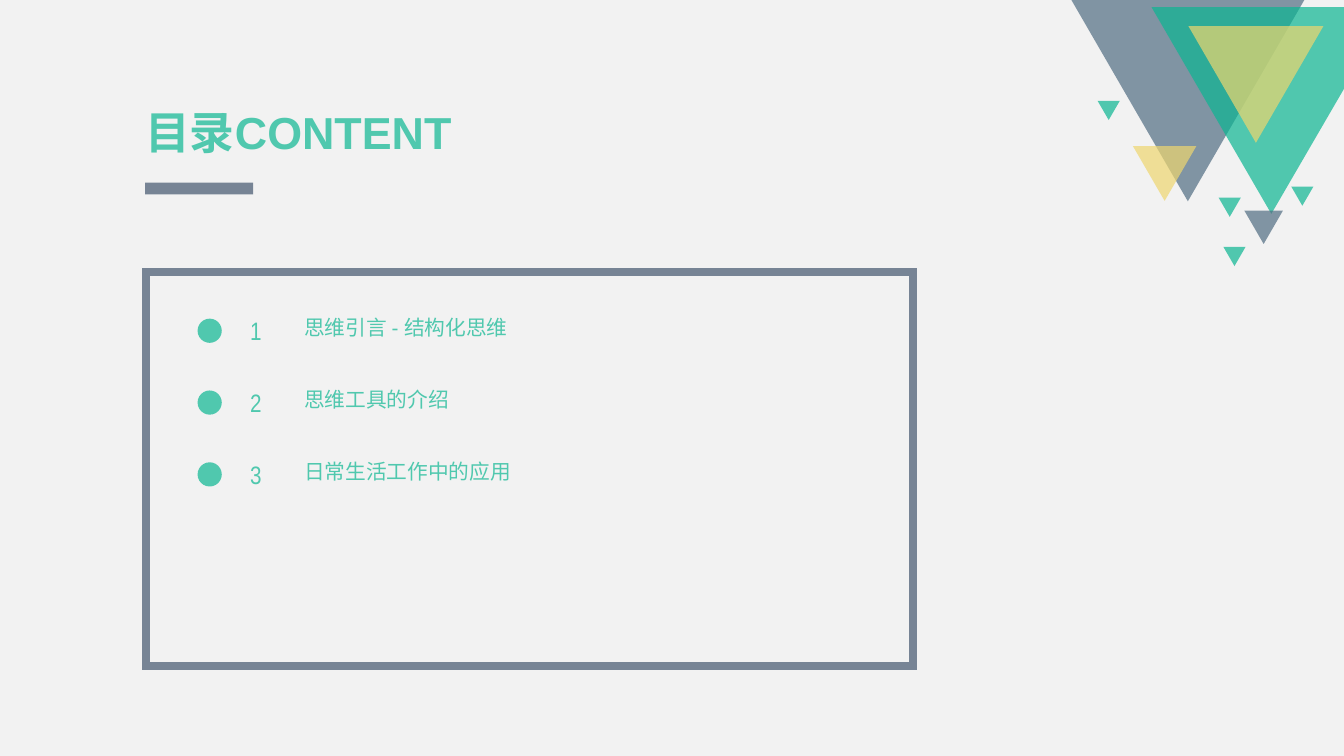
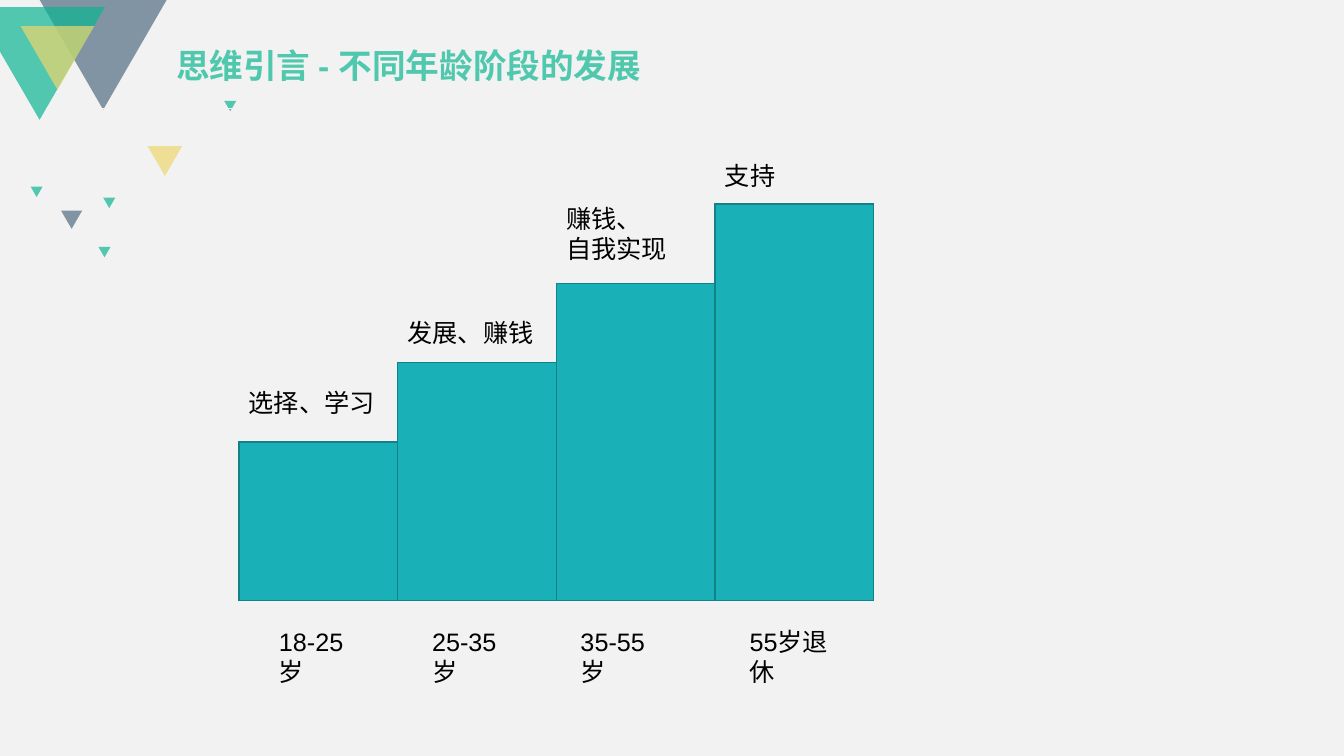
from lxml import etree
from pptx import Presentation
from pptx.dml.color import RGBColor
from pptx.enum.shapes import MSO_CONNECTOR, MSO_SHAPE
from pptx.enum.text import MSO_ANCHOR, PP_ALIGN
from pptx.oxml.ns import qn
from pptx.util import Cm, Pt

RECT = MSO_SHAPE.RECTANGLE
OVAL = MSO_SHAPE.OVAL
TRIANGLE = MSO_SHAPE.ISOSCELES_TRIANGLE
STRAIGHT = MSO_CONNECTOR.STRAIGHT
TOP, MIDDLE = MSO_ANCHOR.TOP, MSO_ANCHOR.MIDDLE
LEFT, CENTER = PP_ALIGN.LEFT, PP_ALIGN.CENTER

PALE = RGBColor(0xF2, 0xF2, 0xF2)
MINT = RGBColor(0x50, 0xC8, 0xAE)
STEEL = RGBColor(0x77, 0x84, 0x95)
SLATE = RGBColor(0x51, 0x6D, 0x82)
GREEN = RGBColor(0x0C, 0xB6, 0x92)
YELLOW = RGBColor(0xEE, 0xD6, 0x6F)
TEAL = RGBColor(0x1A, 0xB0, 0xB8)
DARK_TEAL = RGBColor(0x13, 0x82, 0x88)
BLACK = RGBColor(0, 0, 0)

SLIDE_W, SLIDE_H = 33.87, 19.05
TRIANGLE_RATIO = 0.864
OPACITY = 70
BIG_TRIANGLE = (32.87, 0, 5.87, SLATE)
CUT_TRIANGLE = [(29.02, 0.18), (33.87, 0.18), (33.87, 2.24), (32.04, 5.39)]
SMALL_TRIANGLES = [
    (33.35, 0.66, 3.4, YELLOW),
    (30.15, 3.68, 1.6, YELLOW),
    (33.1, 4.7, 0.56, GREEN),
    (31.39, 6.22, 0.56, GREEN),
    (31.27, 4.98, 0.56, GREEN),
    (32.33, 5.31, 0.97, SLATE),
    (28.22, 2.54, 0.56, GREEN),
]

TOPICS = ["思维引言 - 结构化思维", "思维工具的介绍", "日常生活工作中的应用"]
ROW_TOP, ROW_PITCH = 7.82, 1.81

STAGES = [
    ("18-25岁", 6.78, "选择、学习", 9.63),
    ("25-35岁", 10.64, "发展、赚钱", 7.87),
    ("35-55岁", 14.38, "赚钱、\n自我实现", 5),
    ("55岁退休", 18.64, "支持", 3.91),
]
STEP_LEFT, STEP_W, STEP_RISE, STEP_BASE = 6.02, 4, 2, 15.14


def paint(sp, fill=None, opacity=100, line=None, weight=1):
    sp.shadow.inherit = False
    if fill is None:
        sp.fill.background()
    else:
        sp.fill.solid()
        sp.fill.fore_color.rgb = fill
    if opacity < 100:
        color = sp.fill._xPr.find(qn("a:solidFill"))[0]
        etree.SubElement(color, qn("a:alpha"), val=str(opacity * 1000))
    if line is None:
        sp.line.fill.background()
    else:
        sp.line.color.rgb = line
        sp.line.width = Pt(weight)
        etree.SubElement(sp.line._get_or_add_ln(), qn("a:miter"), lim="800000")


def add_shape(s, kind, x, y, w, h, **look):
    sp = s.shapes.add_shape(kind, Cm(x), Cm(y), Cm(w), Cm(h))
    paint(sp, **look)
    return sp


def add_text(s, text, x, y, w, h, size, color, bold=False, font="Arial",
             align=LEFT, anchor=TOP, spacing=None, inset=None):
    tf = s.shapes.add_textbox(Cm(x), Cm(y), Cm(w), Cm(h)).text_frame
    tf.word_wrap = True
    tf.vertical_anchor = anchor
    if inset is not None:
        tf.margin_left = tf.margin_right = Cm(inset)
        tf.margin_top = tf.margin_bottom = Cm(inset)
    tf.text = text
    for p in tf.paragraphs:
        p.alignment = align
        if spacing:
            p.line_spacing = spacing
        for r in p.runs:
            r.font.name = font
            r.font.size = Pt(size)
            r.font.bold = bold
            r.font.color.rgb = color


def add_title(s, text, x, y, w, h, size, **layout):
    add_text(s, text, x, y, w, h, size, MINT, bold=True, anchor=MIDDLE, **layout)


def add_triangle(s, right, top, width, color, scale, mirrored):
    w = width * scale
    x = SLIDE_W - right if mirrored else right - w
    sp = add_shape(s, TRIANGLE, x, top, w, w * TRIANGLE_RATIO,
                   fill=color, opacity=OPACITY)
    sp.rotation = 180


def add_cut_triangle(s, scale, mirrored):
    top = CUT_TRIANGLE[0][1]
    points = []
    for x, y in CUT_TRIANGLE:
        inward = (SLIDE_W - x) * scale
        px = inward if mirrored else SLIDE_W - inward
        points.append((Cm(px), Cm(top + (y - top) * scale)))
    builder = s.shapes.build_freeform(*points[0])
    builder.add_line_segments(points[1:], close=True)
    paint(builder.convert_to_shape(), fill=GREEN, opacity=OPACITY)


def add_corner(s, scale=1, mirrored=False):
    add_triangle(s, *BIG_TRIANGLE, scale, mirrored)
    add_cut_triangle(s, scale, mirrored)
    for triangle in SMALL_TRIANGLES:
        add_triangle(s, *triangle, scale, mirrored)


def add_rule(s, x1, x2, y):
    rule = s.shapes.add_connector(STRAIGHT, Cm(x1), Cm(y), Cm(x2), Cm(y))
    rule.line.color.rgb = PALE
    rule.line.width = Pt(0.5)
    etree.SubElement(rule._element.spPr, qn("a:effectLst"))


def add_topic(s, number, topic):
    y = ROW_TOP + (number - 1) * ROW_PITCH
    add_shape(s, OVAL, 4.98, y + 0.21, 0.61, 0.61, fill=MINT)
    add_text(s, topic, 7.42, y, 10.5, 0.94, 14.8, MINT)
    add_text(s, str(number), 5.85, y, 1.2, 1.02, 18, MINT,
             font="Arial Narrow", align=CENTER)


def add_stage(s, i, age, age_x, goal, goal_y):
    x = STEP_LEFT + i * STEP_W
    h = (i + 2) * STEP_RISE
    add_shape(s, RECT, x, STEP_BASE - h, STEP_W, h, fill=TEAL, line=DARK_TEAL)
    add_text(s, age, age_x, 15.65, 2.72, 1.8, 18, BLACK)
    add_text(s, goal, x, goal_y, STEP_W, 1.02, 18, BLACK)


def build_contents(s):
    add_corner(s)
    add_shape(s, RECT, 3.68, 6.86, 19.33, 9.93, line=STEEL, weight=6)
    add_title(s, "目录CONTENT", 3.66, 2.03, 12.42, 2.57, 32, inset=0)
    add_shape(s, RECT, 3.66, 4.6, 2.72, 0.3, fill=STEEL)
    for number, topic in enumerate(TOPICS, 1):
        add_topic(s, number, topic)


def build_stages(s):
    add_corner(s, scale=0.545, mirrored=True)
    add_rule(s, 1.17, 32.69, 2.74)
    for i, stage in enumerate(STAGES):
        add_stage(s, i, *stage)
    add_title(s, "思维引言 - 不同年龄阶段的发展", 4.19, 0.48, 15.01, 1.8, 24,
              spacing=1.5)


def main():
    prs = Presentation()
    prs.slide_width, prs.slide_height = Cm(SLIDE_W), Cm(SLIDE_H)
    background = prs.slide_master.background.fill
    background.solid()
    background.fore_color.rgb = PALE
    for build in (build_contents, build_stages):
        build(prs.slides.add_slide(prs.slide_layouts[6]))
    prs.save("out.pptx")


if __name__ == "__main__":
    main()
